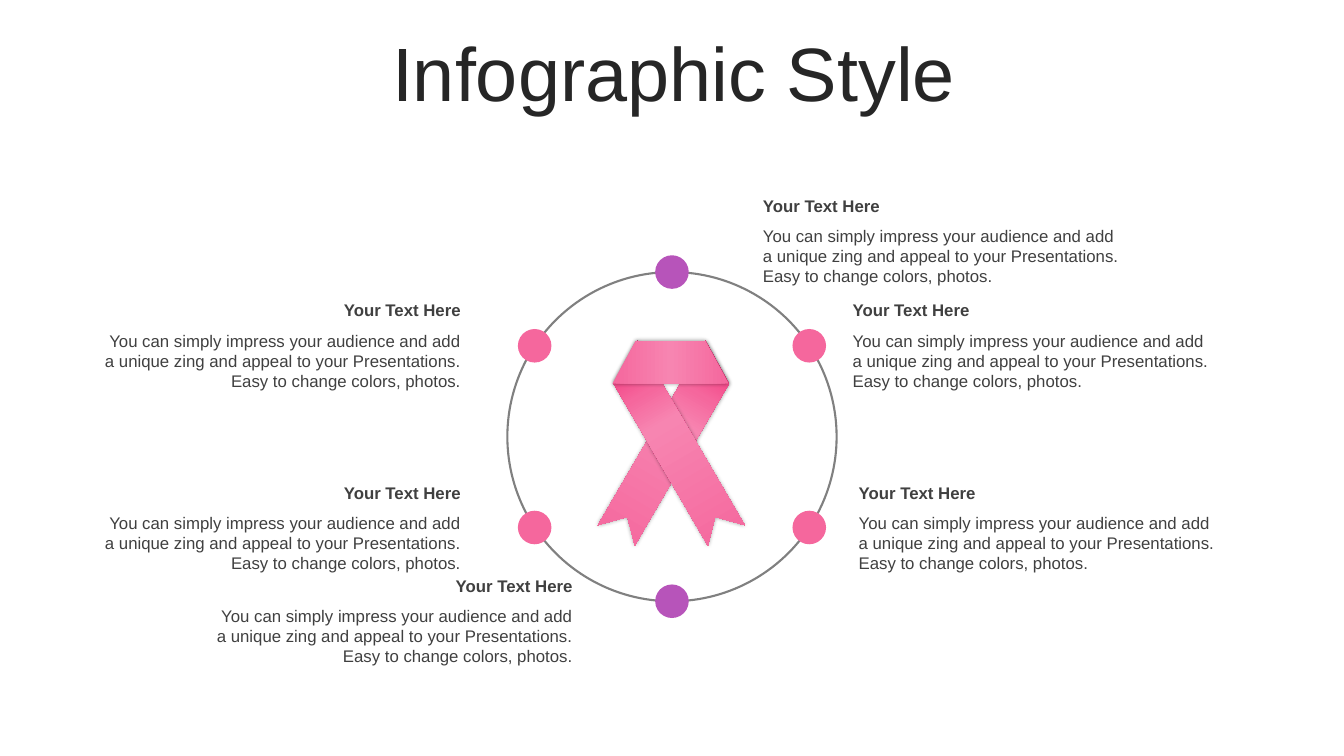
import math
from collections import namedtuple
from dataclasses import dataclass

from lxml import etree
from pptx import Presentation
from pptx import util as u
from pptx.dml.color import RGBColor
from pptx.enum import shapes, text
from pptx.oxml.ns import qn

Box = namedtuple("Box", "x y w h")
CELL = u.Inches(13.33) / 40


@dataclass(frozen=True)
class Theme:
    """Colours, font and type sizes of the slide."""
    font: str = "Arial"
    title_size: int = 54
    note_size: int = 12
    title: str = "262626"
    note: str = "404040"
    ring: str = "808080"
    violet: str = "B754BA"
    pink: str = "F5679D"
    light: str = "F785B1"
    deep: str = "F01568"


THEME = Theme()
HEADING = "Your Text Here"
BODY = ("You can simply impress your audience and add a unique zing and "
        "appeal to your Presentations. Easy to change colors, photos.")
LEFT, RIGHT = text.PP_ALIGN.LEFT, text.PP_ALIGN.RIGHT
NOTES = [
    (22.41, 5.67, LEFT), (25.08, 8.79, LEFT), (25.26, 14.22, LEFT),
    (2.79, 8.79, RIGHT), (2.79, 14.22, RIGHT), (6.12, 16.98, RIGHT),
]
DOTS = [
    (90, THEME.violet), (-90, THEME.violet),
    (33.5, THEME.pink), (-33.5, THEME.pink),
    (146.5, THEME.pink), (-146.5, THEME.pink),
]
STRAP = [(0.73, 0), (0, 0.9), (0.2, 0.86), (0.25, 1), (0.89, 0.21)]
STRAP_TILT = 30.4
STRAP_STOPS = [(0, THEME.deep), (27, THEME.pink), (41, THEME.light), (100, THEME.pink)]
FOLD_STOPS = [(0, THEME.pink), (50, THEME.light), (100, THEME.pink)]


def emu(box):
    """Turn a box in grid cells into slide lengths."""
    return [round(v * CELL) for v in box]


def write(p, words, size, color, bold=False):
    """Add one run to a paragraph."""
    r = p.add_run()
    r.text = words
    r.font.name = THEME.font
    r.font.size = u.Pt(size)
    r.font.bold = bold
    r.font.color.rgb = RGBColor.from_string(color)


def add_title(s, box, words):
    """Move and fill the title placeholder."""
    sp = s.shapes.title
    sp.left, sp.top, sp.width, sp.height = emu(box)
    tf = sp.text_frame
    tf.auto_size = text.MSO_AUTO_SIZE.NONE
    tf.vertical_anchor = text.MSO_ANCHOR.MIDDLE
    p = tf.paragraphs[0]
    p.alignment = text.PP_ALIGN.CENTER
    p.line_spacing = 0.9
    write(p, words, THEME.title_size, THEME.title)


def add_note(s, box, align):
    """Place a bold heading above its body text."""
    head = 0.9
    parts = [
        (Box(box.x, box.y, box.w, head), HEADING, True),
        (Box(box.x, box.y + head, box.w, box.h - head), BODY, False),
    ]
    for part, words, bold in parts:
        tf = s.shapes.add_textbox(*emu(part)).text_frame
        tf.word_wrap = True
        p = tf.paragraphs[0]
        p.alignment = align
        write(p, words, THEME.note_size, THEME.note, bold)


def add_circle(s, x, y, radius):
    """Draw a plain circle around a centre."""
    box = Box(x - radius, y - radius, 2 * radius, 2 * radius)
    sp = s.shapes.add_shape(shapes.MSO_SHAPE.OVAL, *emu(box))
    sp.shadow.inherit = False
    return sp


def add_ring(s, box):
    """Draw the ring and the dots spread along it."""
    radius = box.w / 2
    x, y = box.x + radius, box.y + radius
    ring = add_circle(s, x, y, radius)
    ring.fill.background()
    ring.line.color.rgb = RGBColor.from_string(THEME.ring)
    ring.line.width = u.Pt(1.5)
    for angle, color in DOTS:
        t = math.radians(angle)
        dot = add_circle(s, x + radius * math.cos(t), y - radius * math.sin(t), 0.5)
        dot.fill.solid()
        dot.fill.fore_color.rgb = RGBColor.from_string(color)
        dot.line.fill.background()


def satin(sp, stops, angle):
    """Give a ribbon piece its gradient and soft shadow."""
    sp.line.fill.background()
    sp.fill.gradient()
    sp.fill.gradient_angle = angle
    sp.shadow.inherit = False
    props = sp._element.spPr
    stop_list = props.find(".//" + qn("a:gsLst"))
    for old in list(stop_list):
        stop_list.remove(old)
    for share, color in stops:
        stop = etree.SubElement(stop_list, qn("a:gs"), pos=str(share * 1000))
        etree.SubElement(stop, qn("a:srgbClr"), val=color)
    shadow = etree.SubElement(props.find(qn("a:effectLst")), qn("a:outerShdw"),
                              blurRad=str(u.Pt(3)), dist="0", dir="0")
    black = etree.SubElement(shadow, qn("a:srgbClr"), val="000000")
    etree.SubElement(black, qn("a:alpha"), val="40000")


def add_strap(s, box, side):
    """Draw one strap upright, then tilt it; side is 1 or -1."""
    t = math.radians(STRAP_TILT)
    mid_x, mid_y = box.x + box.w / 2, box.y + box.h / 2
    points = []
    for px, py in STRAP:
        dx, dy = (px - 0.49) * box.w, (py - 0.5) * box.h
        x = dx * math.cos(t) + dy * math.sin(t) - 0.01 * box.w
        y = dy * math.cos(t) - dx * math.sin(t)
        points.append(((mid_x + side * x) * CELL, (mid_y + y) * CELL))
    outline = s.shapes.build_freeform(*points[0])
    outline.add_line_segments(points[1:], close=True)
    sp = outline.convert_to_shape()
    sp.rotation = side * STRAP_TILT
    satin(sp, STRAP_STOPS, 270)


def add_ribbon(s, box):
    """Draw two crossed straps under a folded top."""
    for side in (1, -1):
        add_strap(s, box, side)
    fold = Box(box.x + 0.1 * box.w, box.y, 0.79 * box.w, 0.21 * box.h)
    sp = s.shapes.add_shape(shapes.MSO_SHAPE.TRAPEZOID, *emu(fold))
    sp.adjustments[0] = 0.55
    satin(sp, FOLD_STOPS, 180)


def main():
    """Build and save the slide."""
    prs = Presentation()
    prs.slide_width, prs.slide_height = u.Inches(13.33), u.Inches(7.5)
    s = prs.slides.add_slide(prs.slide_layouts[5])
    add_title(s, Box(1.05, 1.11, 38, 2.37), "Infographic Style")
    for x, y, align in NOTES:
        add_note(s, Box(x, y, 11.22, 3.03), align)
    add_ring(s, Box(15.1, 8.1, 9.8, 9.8))
    add_ribbon(s, Box(17.79, 10.14, 4.38, 6.1))
    prs.save("out.pptx")


if __name__ == "__main__":
    main()
